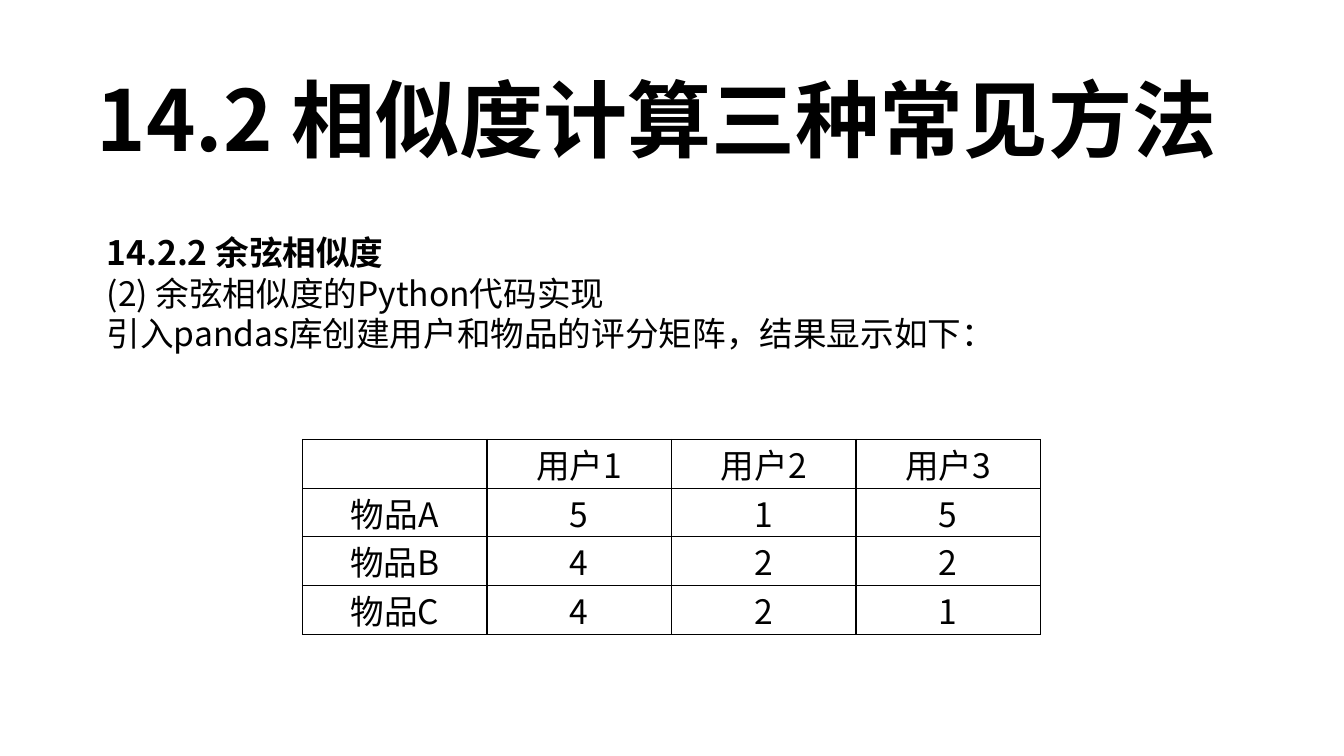
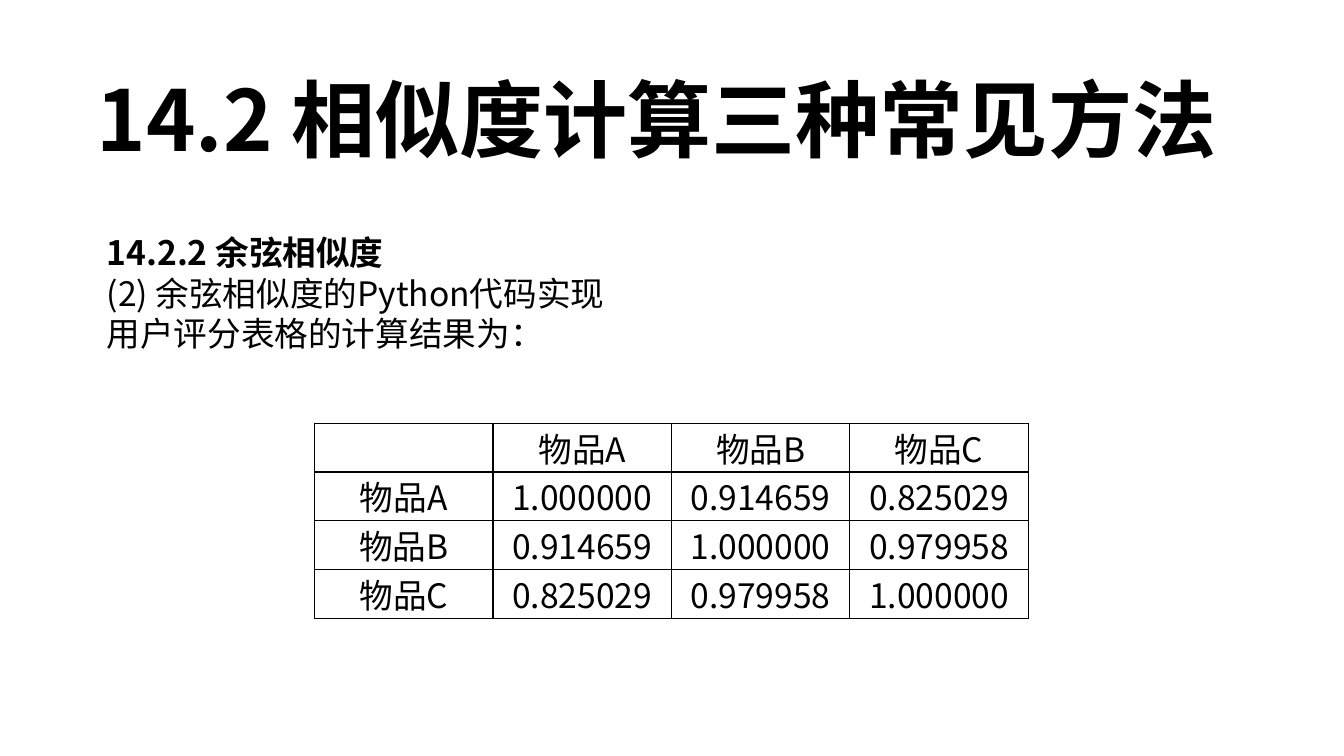
from pptx import Presentation
from pptx.dml.color import RGBColor
from pptx.enum.text import MSO_ANCHOR, PP_ALIGN
from pptx.oxml import parse_xml
from pptx.oxml.ns import nsdecls
from pptx.util import Inches, Pt

BLACK = RGBColor(0, 0, 0)
WHITE = RGBColor(255, 255, 255)
CENTER = PP_ALIGN.CENTER
LEFT = PP_ALIGN.LEFT
MIDDLE = MSO_ANCHOR.MIDDLE
FONT = "Noto Sans CJK SC"
TITLE = {"size": Pt(60), "bold": True}
HEAD = {"size": Pt(24), "bold": True}
BODY = {"size": Pt(24), "bold": False}
LEAD = {TITLE["size"]: Pt(72.5), BODY["size"]: Pt(29)}
CELL = {
    "margin_left": 0,
    "margin_right": 0,
    "margin_top": Inches(0.08),
    "margin_bottom": 0,
    "vertical_anchor": MIDDLE,
}
SIDES = ("lnL", "lnR", "lnT", "lnB")
ROW = Inches(0.48)
ITEMS = ["物品A", "物品B", "物品C"]


def apply(target, style):
    for name, value in style.items():
        setattr(target, name, value)


class Deck:
    def __init__(self):
        self.prs = Presentation()
        self.prs.slide_width = Inches(13.33)
        self.prs.slide_height = Inches(7.5)
        self.slide = None

    def start(self):
        self.slide = self.prs.slides.add_slide(self.prs.slide_layouts[6])
        fill = self.slide.background.fill
        fill.solid()
        fill.fore_color.rgb = WHITE

    def line(self, para, text, style, align=LEFT):
        para.alignment = align
        para.line_spacing = LEAD[style["size"]]
        run = para.add_run()
        run.text = text
        apply(run.font, {"name": FONT, **style})
        run.font.color.rgb = BLACK
        props = run._r.get_or_add_rPr()
        props.append(parse_xml(f'<a:ea {nsdecls("a")} typeface="{FONT}"/>'))

    def text(self, area, lines, wrap=True):
        box = self.slide.shapes.add_textbox(*map(Inches, area))
        frame = box.text_frame
        frame.word_wrap = wrap
        for i, (text, style) in enumerate(lines):
            para = frame.add_paragraph() if i else frame.paragraphs[0]
            self.line(para, text, style)

    def border(self, cell):
        props = cell._tc.get_or_add_tcPr()
        for i, side in enumerate(SIDES):
            edge = parse_xml(
                f'<a:{side} {nsdecls("a")} w="{Pt(1)}"><a:solidFill>'
                f'<a:srgbClr val="{BLACK}"/></a:solidFill></a:{side}>'
            )
            props.insert(i, edge)

    def table(self, left, top, width, names, values):
        rows = [["", *names]]
        rows += [[item, *marks] for item, marks in zip(ITEMS, values)]
        count = len(rows[0])
        frame = self.slide.shapes.add_table(
            len(rows), count, Inches(left), Inches(top),
            Inches(width * count), ROW * len(rows),
        )
        grid = frame.table
        grid.first_row = grid.horz_banding = False
        for col in grid.columns:
            col.width = Inches(width)
        for r, row in enumerate(rows):
            for c, text in enumerate(row):
                cell = grid.cell(r, c)
                apply(cell, CELL)
                cell.fill.background()
                self.border(cell)
                if text:
                    para = cell.text_frame.paragraphs[0]
                    self.line(para, text, BODY, CENTER)

    def page(self, note, *table):
        self.start()
        title = [("14.2 相似度计算三种常见方法", TITLE)]
        self.text((0.86, 0.61, 11.62, 1.11), title, wrap=False)
        self.text((0.96, 2.25, 11.41, 1.31), [
            ("14.2.2 余弦相似度", HEAD),
            ("(2) 余弦相似度的Python代码实现", BODY),
            (note, BODY),
        ])
        self.table(*table)


def main():
    deck = Deck()
    deck.page(
        "引入pandas库创建用户和物品的评分矩阵，结果显示如下：",
        3, 4.36, 1.83, ["用户1", "用户2", "用户3"],
        ["515", "422", "421"],
    )
    deck.page(
        "用户评分表格的计算结果为：",
        3.12, 4.2, 1.77, ITEMS,
        [
            ["1.000000", "0.914659", "0.825029"],
            ["0.914659", "1.000000", "0.979958"],
            ["0.825029", "0.979958", "1.000000"],
        ],
    )
    deck.prs.save("out.pptx")


if __name__ == "__main__":
    main()
